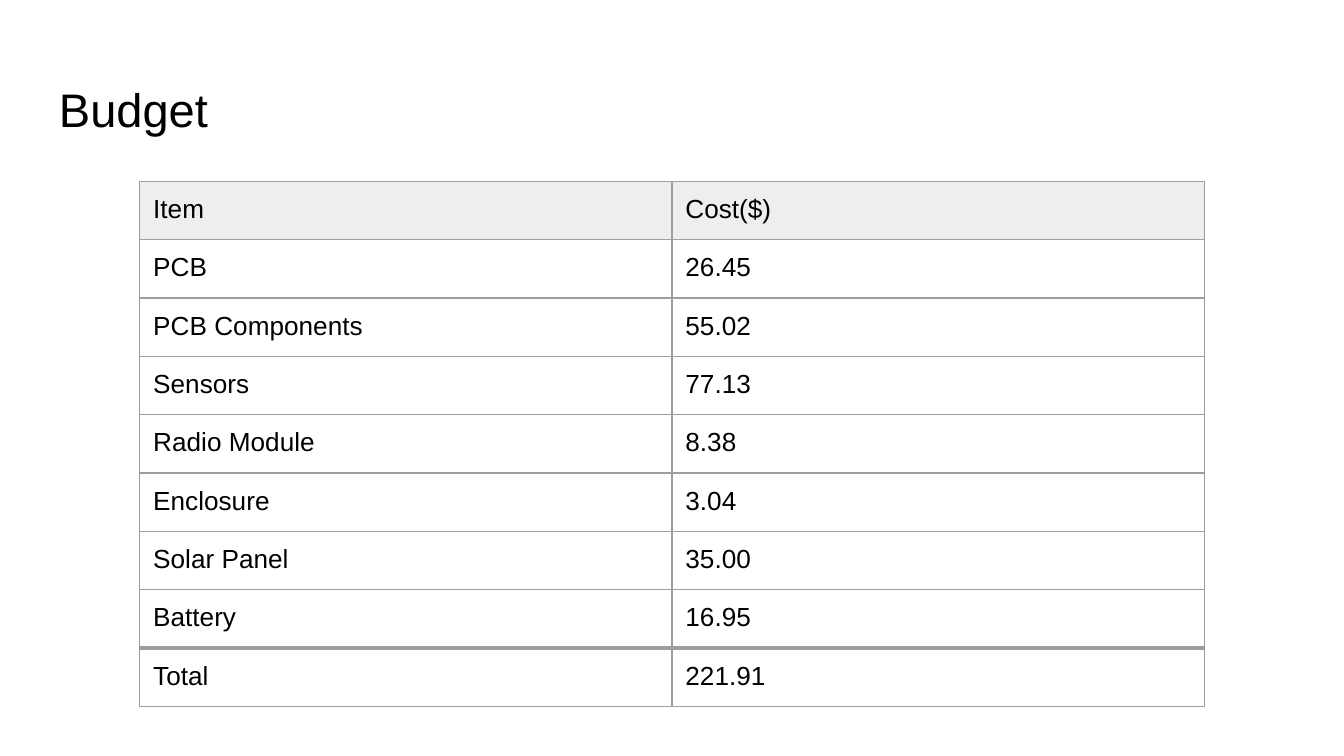
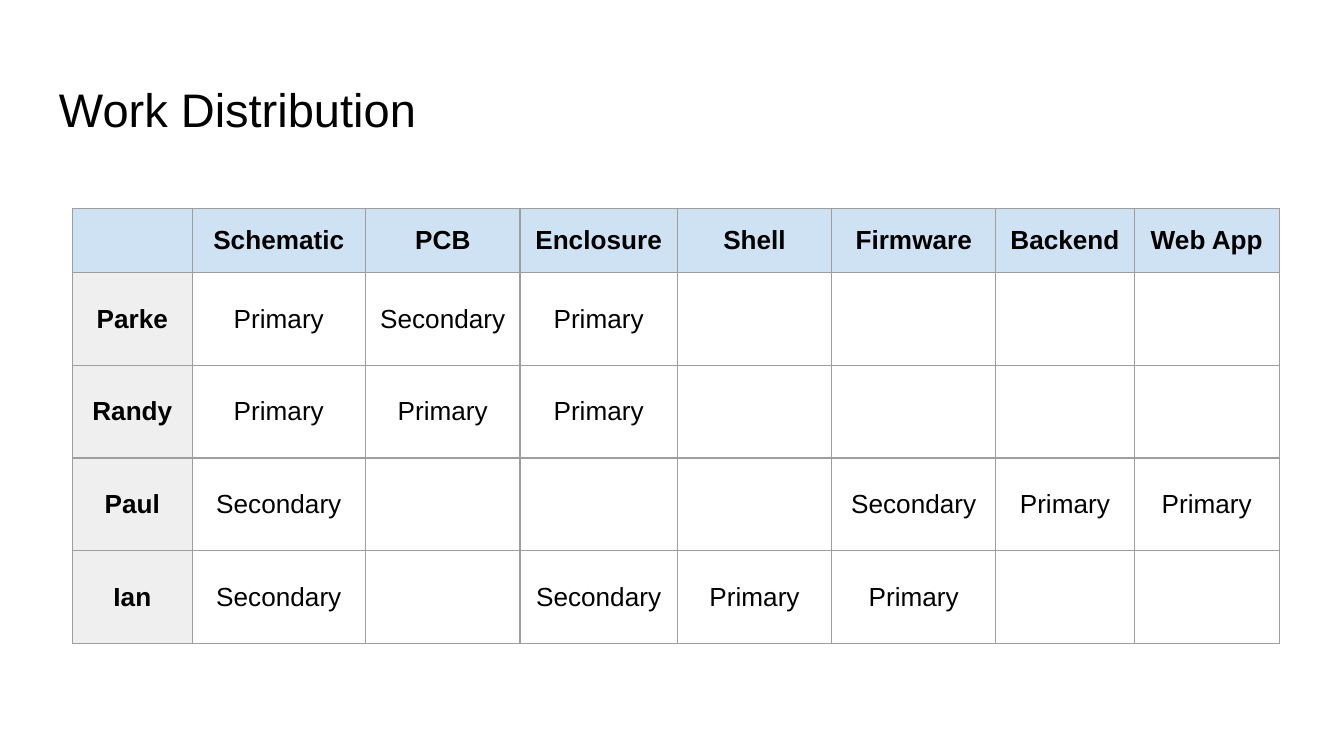
from dataclasses import dataclass
from typing import Optional

from lxml import etree
from pptx import Presentation
from pptx.dml.color import RGBColor
from pptx.enum.text import MSO_ANCHOR, PP_ALIGN
from pptx.oxml.ns import qn
from pptx.util import Inches, Pt

TOP, MIDDLE, BOTTOM = MSO_ANCHOR.TOP, MSO_ANCHOR.MIDDLE, MSO_ANCHOR.BOTTOM
LEFT, CENTER = PP_ALIGN.LEFT, PP_ALIGN.CENTER

# Shared look
W = Inches(10)
H = W * 9 // 16
FONT = "Arial"
INK, RULE = "000000", "9E9E9E"
TITLE_SIZE, CELL_SIZE = 25.2, 14
INSET = Inches(0.1)
THIN, THICK = 0.75, 2.25


@dataclass
class Grid:
    """Table content; left, top, cols and rows are percentages of the slide."""
    title: str
    left: float
    top: float
    cols: list[float]
    rows: list[float]
    cells: list[list[str]]
    header_fill: str
    side_fill: Optional[str] = None
    bold_heads: bool = False
    align: PP_ALIGN = LEFT
    anchor: MSO_ANCHOR = TOP
    total_row: Optional[int] = None


BUDGET = Grid(
    "Budget", 10.4, 24, [39.6] * 2, [7.48] * 9,
    [["Item", "Cost($)"],
     ["PCB", "26.45"],
     ["PCB Components", "55.02"],
     ["Sensors", "77.13"],
     ["Radio Module", "8.38"],
     ["Enclosure", "3.04"],
     ["Solar Panel", "35.00"],
     ["Battery", "16.95"],
     ["Total", "221.91"]],
    header_fill="EEEEEE", total_row=8)

FIRST, SECOND = "Primary", "Secondary"
WORK = Grid(
    "Work Distribution", 5.4, 27.6,
    [8.9, 12.9, 11.5, 11.7, 11.5, 12.2, 10.3, 10.8], [8.5] + [12.25] * 4,
    [["", "Schematic", "PCB", "Enclosure", "Shell", "Firmware", "Backend", "Web App"],
     ["Parke", FIRST, SECOND, FIRST, "", "", "", ""],
     ["Randy", FIRST, FIRST, FIRST, "", "", "", ""],
     ["Paul", SECOND, "", "", "", SECOND, FIRST, FIRST],
     ["Ian", SECOND, "", SECOND, FIRST, FIRST, "", ""]],
    header_fill="CFE2F3", side_fill="EFEFEF", bold_heads=True,
    align=CENTER, anchor=MIDDLE)


def rgb(color: str) -> RGBColor:
    return RGBColor.from_string(color)


def across(percent: float) -> int:
    return round(W * percent / 100)


def down(percent: float) -> int:
    return round(H * percent / 100)


def add_run(p, text: str, size: float, bold: bool = False) -> None:
    r = p.add_run()
    r.text = text
    r.font.name, r.font.size, r.font.bold = FONT, Pt(size), bold
    r.font.color.rgb = rgb(INK)


def set_insets(box) -> None:
    box.margin_left = box.margin_right = INSET
    box.margin_top = box.margin_bottom = INSET


def add_title(s, text: str) -> None:
    sp = s.shapes.add_textbox(across(3.4), down(8.7), across(93.2), down(11.2))
    tf = sp.text_frame
    tf.word_wrap = True
    tf.vertical_anchor = BOTTOM
    set_insets(tf)
    add_run(tf.paragraphs[0], text, TITLE_SIZE)


def set_borders(cell, top: float, bottom: float) -> None:
    tc_pr = cell._tc.get_or_add_tcPr()
    for side, width in (("L", THIN), ("R", THIN), ("T", top), ("B", bottom)):
        ln = etree.SubElement(tc_pr, qn(f"a:ln{side}"), w=str(Pt(width)))
        fill = etree.SubElement(ln, qn("a:solidFill"))
        etree.SubElement(fill, qn("a:srgbClr"), val=RULE)


def set_fill(cell, color: Optional[str]) -> None:
    if color:
        cell.fill.solid()
        cell.fill.fore_color.rgb = rgb(color)
    else:
        cell.fill.background()


def add_grid(s, grid: Grid) -> None:
    table = s.shapes.add_table(
        len(grid.rows), len(grid.cols), across(grid.left), down(grid.top),
        across(sum(grid.cols)), down(sum(grid.rows))).table
    table.first_row = table.horz_banding = False
    for column, share in zip(table.columns, grid.cols):
        column.width = across(share)
    for row, share in zip(table.rows, grid.rows):
        row.height = down(share)

    for i, texts in enumerate(grid.cells):
        # The total row is set off by a thick rule
        top = THICK if i == grid.total_row else THIN
        bottom = THICK if i + 1 == grid.total_row else THIN
        for j, text in enumerate(texts):
            cell = table.cell(i, j)
            set_borders(cell, top, bottom)
            side = grid.side_fill if j == 0 else None
            set_fill(cell, grid.header_fill if i == 0 else side)
            if text:
                set_insets(cell)
                cell.vertical_anchor = grid.anchor
                p = cell.text_frame.paragraphs[0]
                p.alignment = grid.align
                add_run(p, text, CELL_SIZE, grid.bold_heads and 0 in (i, j))


def main() -> None:
    prs = Presentation()
    prs.slide_width, prs.slide_height = W, H
    for grid in (BUDGET, WORK):
        s = prs.slides.add_slide(prs.slide_layouts[6])
        add_title(s, grid.title)
        add_grid(s, grid)
    prs.save("out.pptx")


if __name__ == "__main__":
    main()
